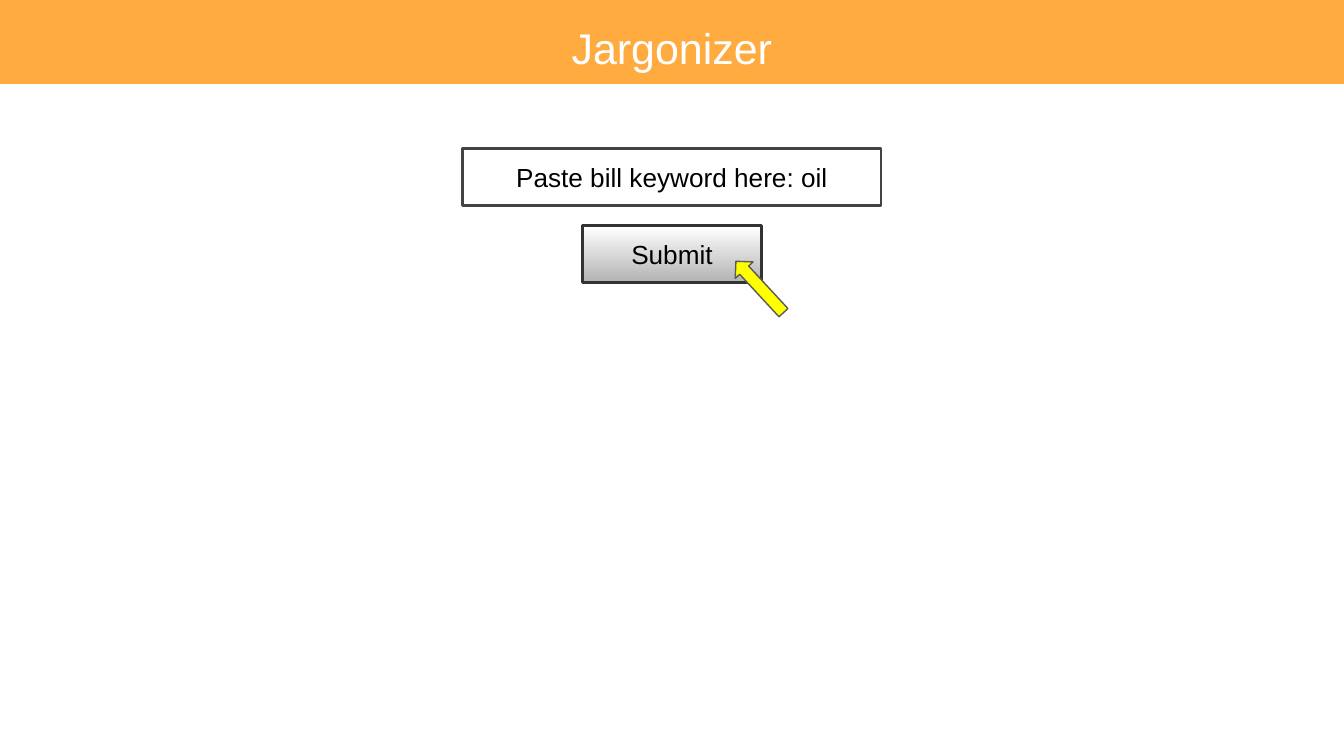
from pptx import Presentation
from pptx.dml.color import RGBColor
from pptx.enum.shapes import MSO_SHAPE
from pptx.enum.text import MSO_ANCHOR, MSO_AUTO_SIZE, PP_ALIGN
from pptx.util import Pt

COLORS = {
    "banner": "FFAB40",
    "white": "FFFFFF",
    "black": "000000",
    "field_border": "434343",
    "button_border": "333333",
    "button_shade": "B3B3B3",
    "pointer": "FFFF00",
    "pointer_border": "595959",
}
PAGE_WIDTH, PAGE_HEIGHT = 720, 405
INSET = 7.2


def color(name):
    return RGBColor.from_string(COLORS[name])


def place(shape, box):
    shape.left, shape.top, shape.width, shape.height = [Pt(value) for value in box]


def centered(width, top, height):
    return (PAGE_WIDTH - width) / 2, top, width, height


def write(shape, text, size, color_name, anchor):
    frame = shape.text_frame
    frame.text = text
    frame.word_wrap = True
    frame.auto_size = MSO_AUTO_SIZE.NONE
    frame.vertical_anchor = anchor
    frame.margin_left = frame.margin_right = Pt(INSET)
    frame.margin_top = frame.margin_bottom = Pt(INSET)
    para = frame.paragraphs[0]
    para.alignment = PP_ALIGN.CENTER
    font = para.runs[0].font
    font.name, font.size = "Arial", Pt(size)
    font.color.rgb = color(color_name)
    return para


def add_outlined(page, kind, box, fill_name, border_name, border_width):
    shape = page.shapes.add_shape(kind, *[Pt(value) for value in box])
    shape.shadow.inherit = False
    shape.fill.solid()
    shape.fill.fore_color.rgb = color(fill_name)
    shape.line.color.rgb = color(border_name)
    shape.line.width = Pt(border_width)
    return shape


def add_banner(page, box):
    title = page.shapes.title
    place(title, box)
    title.fill.solid()
    title.fill.fore_color.rgb = color("banner")
    para = write(title, "Jargonizer", 23, "white", MSO_ANCHOR.TOP)
    para.line_spacing = 1.15


def add_keyword_field(page, box):
    field = add_outlined(page, MSO_SHAPE.RECTANGLE, box, "white", "field_border", 1.5)
    write(field, "Paste bill keyword here: oil", 14, "black", MSO_ANCHOR.MIDDLE)


def add_submit_button(page, box):
    button = add_outlined(page, MSO_SHAPE.RECTANGLE, box, "white", "button_border", 1.5)
    button.fill.gradient()
    button.fill.gradient_angle = 270  # light at the top, dark at the bottom
    for stop, name in zip(button.fill.gradient_stops, ("white", "button_shade")):
        stop.color.rgb = color(name)
    write(button, "Submit", 14, "black", MSO_ANCHOR.MIDDLE)


def add_pointer(page, box):
    pointer = add_outlined(page, MSO_SHAPE.UP_ARROW, box, "pointer", "pointer_border", 0.75)
    pointer.rotation = 317.2


def main():
    deck = Presentation()
    deck.slide_width, deck.slide_height = Pt(PAGE_WIDTH), Pt(PAGE_HEIGHT)
    page = deck.slides.add_slide(deck.slide_layouts[5])  # title only
    page.background.fill.solid()
    page.background.fill.fore_color.rgb = color("white")

    # Banner across the top
    add_banner(page, (0, 0, PAGE_WIDTH, 45))
    # Search form, centred on the page
    add_keyword_field(page, centered(224, 79.5, 30.5))
    add_submit_button(page, centered(96, 121, 30.5))
    # Pointer on the button
    add_pointer(page, (400.5, 135, 13, 37.5))

    deck.save("out.pptx")


if __name__ == "__main__":
    main()
